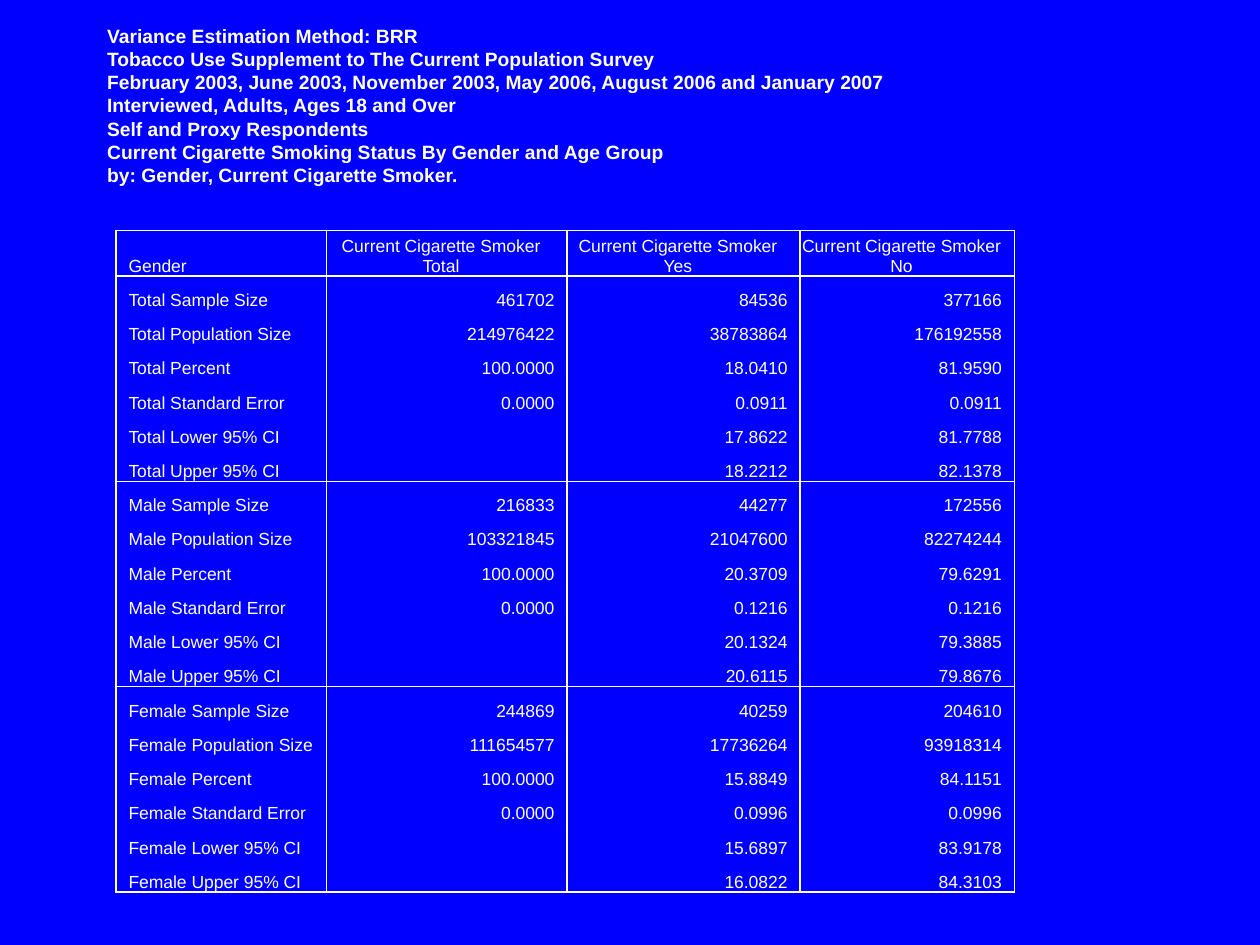
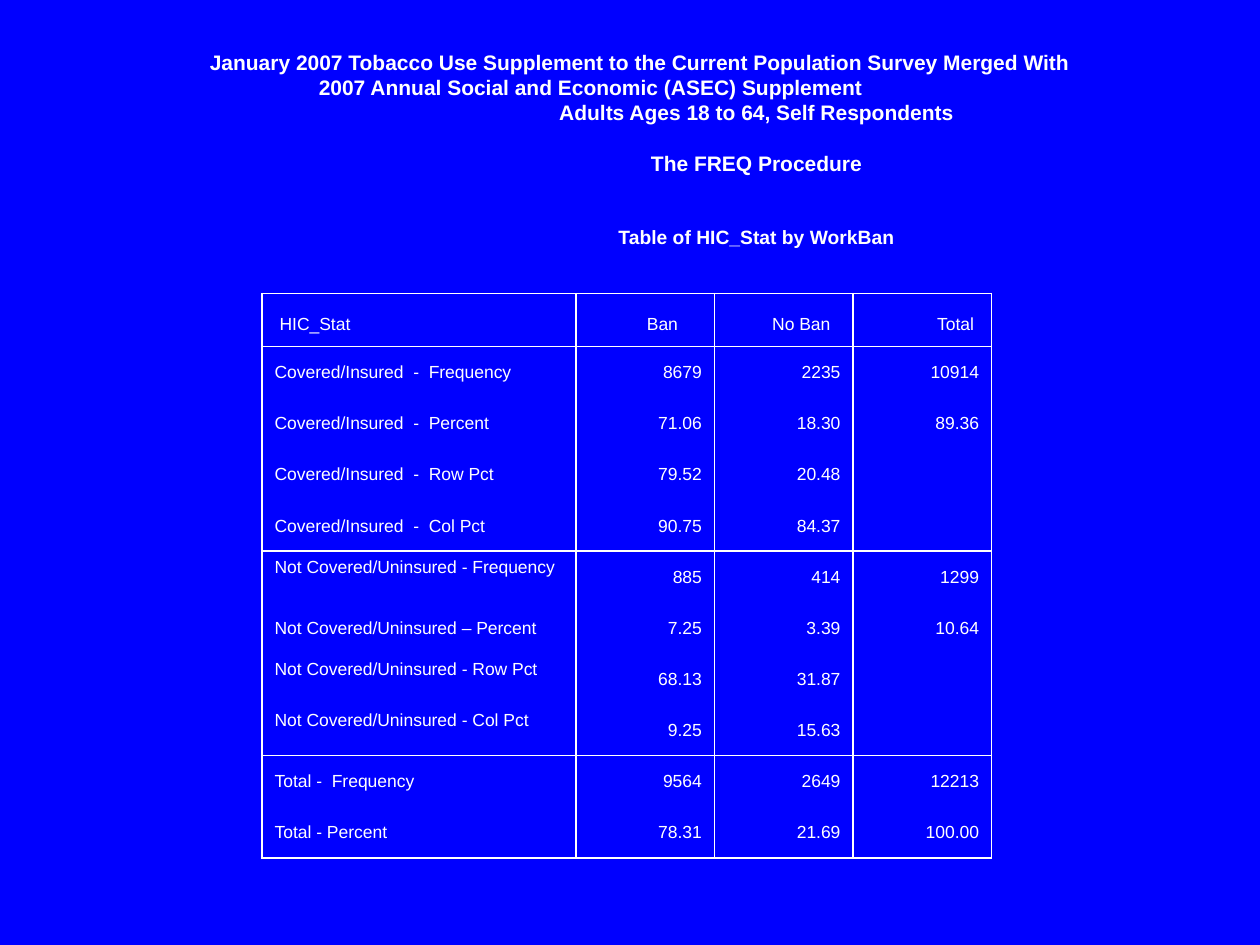
"""Two survey slides: a title and a ruled table on blue."""
from dataclasses import dataclass

from lxml.etree import SubElement
from pptx import Presentation
from pptx.dml.color import RGBColor
from pptx.enum.text import MSO_ANCHOR, PP_ALIGN
from pptx.oxml.ns import qn
from pptx.util import Inches, Pt

BLUE = RGBColor(0x00, 0x00, 0xFF)
WHITE = RGBColor(0xFF, 0xFF, 0xFF)
FONT = "Arial"
CELL_SIZE = 10
PLAIN_STYLE = "{2D5ABB26-0587-4C30-8999-92F81FD0307C}"  # no style, no grid


@dataclass
class Line:
    """One title line; a set left indent replaces centring."""
    text: str
    size: int
    align: PP_ALIGN = PP_ALIGN.LEFT
    before: float = 0
    indent: float = 0


@dataclass
class Head:
    """One column header, with a width and an extra side inset."""
    text: str
    width: float
    align: PP_ALIGN
    extra: float = 0


@dataclass
class Grid:
    """Place and look of a table; insets are left, top, right, bottom."""
    left: float
    top: float
    height: float
    head_height: float
    heads: list[Head]
    groups: list[list[tuple[str, ...]]]
    anchor: MSO_ANCHOR
    label_inset: tuple[float, ...]
    value_inset: tuple[float, ...]
    head_bottom: float = 0
    raised: tuple[str, ...] = ()


def style(para, size: float, bold: bool = False) -> None:
    """Format every run of a paragraph."""
    for run in para.runs:
        run.font.name = FONT
        run.font.size = Pt(size)
        run.font.bold = bold
        run.font.color.rgb = WHITE


def add_title(slide, box: tuple[float, ...], lines: list[Line], bottom: float) -> None:
    """Fill the title placeholder; the bottom inset lifts the text."""
    title = slide.shapes.title
    title.left, title.top, title.width, title.height = map(Inches, box)
    frame = title.text_frame
    frame.word_wrap = True
    frame.vertical_anchor = MSO_ANCHOR.MIDDLE
    frame.margin_bottom = Inches(bottom)
    frame.text = "\n".join(line.text for line in lines)
    for para, line in zip(frame.paragraphs, lines):
        para.alignment = line.align
        para.line_spacing = Pt(line.size * 1.2)
        para.space_before = Pt(line.before)
        if line.indent:
            para._p.get_or_add_pPr().set("marL", str(Inches(line.indent)))
        style(para, line.size, bold=True)


def add_rules(cell, sides: str) -> None:
    """Draw white borders on the given sides (L, R, T, B)."""
    props = cell._tc.get_or_add_tcPr()
    for side in "LRTB":
        rule = SubElement(props, qn(f"a:ln{side}"), w=str(Pt(1)))
        if side in sides:
            fill = SubElement(rule, qn("a:solidFill"))
            SubElement(fill, qn("a:srgbClr"), val=str(WHITE))
        else:
            SubElement(rule, qn("a:noFill"))


def fill_cell(cell, text: str, align: PP_ALIGN, anchor: MSO_ANCHOR,
              inset: tuple[float, ...], sides: str) -> None:
    """Set the text, insets and borders of a cell."""
    add_rules(cell, sides)
    cell.fill.background()
    cell.vertical_anchor = anchor
    (cell.margin_left, cell.margin_top,
     cell.margin_right, cell.margin_bottom) = map(Inches, inset)
    cell.text_frame.text = text
    for para in cell.text_frame.paragraphs:
        para.alignment = align
        style(para, CELL_SIZE)
        SubElement(para._p, qn("a:endParaRPr"), sz=str(CELL_SIZE * 100))


def add_grid(slide, grid: Grid) -> None:
    """Draw a table whose row groups are ruled off."""
    count = sum(map(len, grid.groups))
    width = sum(head.width for head in grid.heads)
    frame = slide.shapes.add_table(
        count + 1, len(grid.heads), Inches(grid.left), Inches(grid.top),
        Inches(width), Inches(grid.height))
    table = frame.table
    table.first_row = table.horz_banding = False
    table._tbl.tblPr.find(qn("a:tableStyleId")).text = PLAIN_STYLE
    for row in table.rows:
        row.height = Inches((grid.height - grid.head_height) / count)
    table.rows[0].height = Inches(grid.head_height)

    for col, head in enumerate(grid.heads):
        table.columns[col].width = Inches(head.width)
        left, top, right, _ = grid.value_inset if col else grid.label_inset
        if head.align == PP_ALIGN.RIGHT:
            right += head.extra
        else:
            left += head.extra
        fill_cell(table.cell(0, col), head.text, head.align, MSO_ANCHOR.BOTTOM,
                  (left, top, right, grid.head_bottom), "LRTB")

    place = 1
    for group in grid.groups:
        for index, row in enumerate(group):
            sides = "LR" + "T" * (index == 0) + "B" * (index == len(group) - 1)
            for col, text in enumerate(row):
                inset = grid.value_inset if col else grid.label_inset
                if text in grid.raised:
                    inset = (*inset[:3], 0.16)
                align = PP_ALIGN.RIGHT if col else PP_ALIGN.LEFT
                fill_cell(table.cell(place, col), text, align, grid.anchor,
                          inset, sides)
            place += 1


SMOKE_TITLE = [
    "Variance Estimation Method: BRR",
    "Tobacco Use Supplement to The Current Population Survey",
    "February 2003, June 2003, November 2003, May 2006, August 2006 and January 2007",
    "Interviewed, Adults, Ages 18 and Over",
    "Self and Proxy Respondents",
    "Current Cigarette Smoking Status By Gender and Age Group",
    "by: Gender, Current Cigarette Smoker.",
]
STATS = ["Sample Size", "Population Size", "Percent", "Standard Error",
         "Lower 95% CI", "Upper 95% CI"]
SMOKE = {
    "Total": [("461702", "84536", "377166"),
              ("214976422", "38783864", "176192558"),
              ("100.0000", "18.0410", "81.9590"),
              ("0.0000", "0.0911", "0.0911"),
              ("", "17.8622", "81.7788"),
              ("", "18.2212", "82.1378")],
    "Male": [("216833", "44277", "172556"),
             ("103321845", "21047600", "82274244"),
             ("100.0000", "20.3709", "79.6291"),
             ("0.0000", "0.1216", "0.1216"),
             ("", "20.1324", "79.3885"),
             ("", "20.6115", "79.8676")],
    "Female": [("244869", "40259", "204610"),
               ("111654577", "17736264", "93918314"),
               ("100.0000", "15.8849", "84.1151"),
               ("0.0000", "0.0996", "0.0996"),
               ("", "15.6897", "83.9178"),
               ("", "16.0822", "84.3103")],
}
SMOKE_GRID = Grid(
    left=0.92, top=1.83, height=5.25, head_height=0.36,
    heads=[Head("Gender", 1.67, PP_ALIGN.LEFT)] + [
        Head(f"Current Cigarette Smoker\n{name}", width, PP_ALIGN.CENTER)
        for name, width in (("Total", 1.91), ("Yes", 1.85), ("No", 1.7))],
    groups=[[(f"{sex} {stat}", *row) for stat, row in zip(STATS, rows)]
            for sex, rows in SMOKE.items()],
    anchor=MSO_ANCHOR.BOTTOM,
    label_inset=(0.1, 0.01, 0.01, 0), value_inset=(0.01, 0.01, 0.1, 0))

COVER_TITLE = [
    Line("January 2007 Tobacco Use Supplement to the Current Population Survey "
         "Merged With", 12, PP_ALIGN.CENTER),
    Line("2007 Annual Social and Economic (ASEC) Supplement", 12, indent=1.85),
    Line("Adults Ages 18 to 64, Self Respondents", 12, PP_ALIGN.CENTER),
    Line("The FREQ Procedure", 12, PP_ALIGN.CENTER, before=14.4),
    Line("Table of HIC_Stat by WorkBan", 11, PP_ALIGN.CENTER, before=28.4),
]
COVER = [
    [("Covered/Insured  -  Frequency", "8679", "2235", "10914"),
     ("Covered/Insured  -  Percent", "71.06", "18.30", "89.36"),
     ("Covered/Insured  -  Row Pct", "79.52", "20.48", ""),
     ("Covered/Insured  -  Col Pct", "90.75", "84.37", "")],
    [("Not Covered/Uninsured - Frequency", "885", "414", "1299"),
     ("Not Covered/Uninsured – Percent", "7.25", "3.39", "10.64"),
     ("Not Covered/Uninsured - Row Pct", "68.13", "31.87", ""),
     ("Not Covered/Uninsured - Col Pct", "9.25", "15.63", "")],
    [("Total -  Frequency", "9564", "2649", "12213"),
     ("Total - Percent", "78.31", "21.69", "100.00")],
]
COVER_GRID = Grid(
    left=2.08, top=2.33, height=4.48, head_height=0.42,
    heads=[Head("HIC_Stat", 2.49, PP_ALIGN.LEFT, 0.04),
           Head("Ban", 1.1, PP_ALIGN.RIGHT, 0.19),
           Head("No Ban", 1.1, PP_ALIGN.RIGHT, 0.08),
           Head("Total", 1.1, PP_ALIGN.RIGHT, 0.04)],
    groups=COVER, anchor=MSO_ANCHOR.MIDDLE,
    label_inset=(0.1, 0.01, 0.1, 0), value_inset=(0.1, 0.01, 0.1, 0),
    head_bottom=0.1,
    raised=tuple(row[0] for row in COVER[1] if " - " in row[0]))


def main() -> None:
    """Build and save the deck."""
    deck = Presentation()
    deck.slide_width, deck.slide_height = Inches(10), Inches(7.5)
    back = deck.slide_master.background.fill
    back.solid()
    back.fore_color.rgb = BLUE
    layout = deck.slide_layouts.get_by_name("Title Only")

    slide = deck.slides.add_slide(layout)
    add_title(slide, (0.75, 0.3, 8.75, 1.25),
              [Line(text, 11) for text in SMOKE_TITLE], bottom=0.23)
    add_grid(slide, SMOKE_GRID)

    slide = deck.slides.add_slide(layout)
    add_title(slide, (0.58, 0.92, 9, 1.25), COVER_TITLE, bottom=0.78)
    add_grid(slide, COVER_GRID)

    deck.save("out.pptx")


main()
